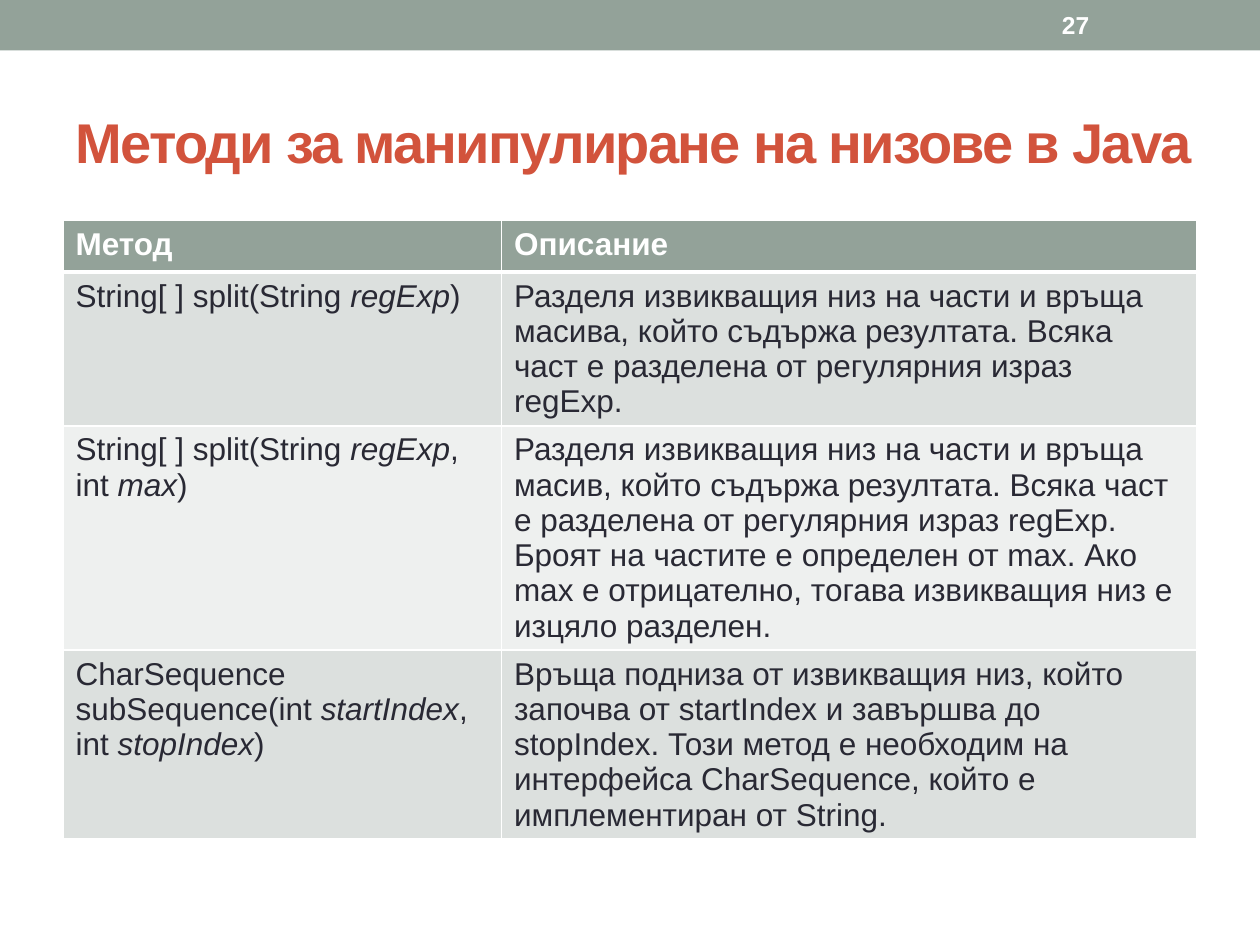
from dataclasses import dataclass

from lxml.etree import SubElement
from pptx import Presentation
from pptx.dml.color import RGBColor
from pptx.enum.shapes import MSO_SHAPE as SHAPE
from pptx.enum.text import MSO_ANCHOR as ANCHOR
from pptx.oxml.ns import qn
from pptx.util import Inches, Pt

FONT = "Arial"
SAGE, RUST, INK, WHITE = "93A299", "D2533C", "292934", "FFFFFF"
BANDS = ("DCE0DE", "EEF0EF")


@dataclass
class Method:
    """One table row; asterisks in the signature enclose italic parts."""
    signature: str
    description: str


@dataclass
class Label:
    """A bold one-line text box."""
    text: str
    box: tuple[float, float, float, float]
    size: int
    color: str
    spacing: int = 0


METHODS = [
    Method("String[ ] split(String *regExp*)",
           "Разделя извикващия низ на части и връща масива, който съдържа "
           "резултата. Всяка част е разделена от регулярния израз regExp."),
    Method("String[ ] split(String *regExp*, int *max*)",
           "Разделя извикващия низ на части и връща масив, който съдържа "
           "резултата. Всяка част е разделена от регулярния израз regExp. "
           "Броят на частите е определен от max. Ако max е отрицателно, "
           "тогава извикващия низ е изцяло разделен."),
    Method("CharSequence\nsubSequence(int *startIndex*,\nint *stopIndex*)",
           "Връща подниза от извикващия низ, който започва от startIndex и "
           "завършва до stopIndex. Този метод е необходим на интерфейса "
           "CharSequence, който е имплементиран от String."),
]
LABELS = [
    Label("Методи за манипулиране на низове в Java",
          (0.5, 0.58, 9.3, 1.08), 32, RUST, -100),
    Label("27", (8.33, 0.02, 1.17, 0.36), 14, WHITE),
]


def rgb(color: str) -> RGBColor:
    """Turn a hex string into a colour."""
    return RGBColor.from_string(color)


def write(tf, text: str, size: int, color: str, bold: bool = False) -> None:
    """Write lines as paragraphs, with starred parts in italics."""
    for i, line in enumerate(text.split("\n")):
        p = tf.add_paragraph() if i else tf.paragraphs[0]
        for j, part in enumerate(line.split("*")):
            if not part:
                continue
            r = p.add_run()
            r.text = part
            style = {"name": FONT, "size": Pt(size), "bold": bold,
                     "italic": j % 2 == 1}
            for key, value in style.items():
                setattr(r.font, key, value)
            r.font.color.rgb = rgb(color)


def add_label(slide, label: Label) -> None:
    """Add a vertically centred text box."""
    tf = slide.shapes.add_textbox(*map(Inches, label.box)).text_frame
    tf.word_wrap = True
    tf.vertical_anchor = ANCHOR.MIDDLE
    write(tf, label.text, label.size, label.color, True)
    if label.spacing:
        r = tf.paragraphs[0].runs[0]
        r._r.get_or_add_rPr().set("spc", str(label.spacing))


def set_borders(cell, widths: dict[str, int]) -> None:
    """Draw white cell borders with the given widths in points."""
    tc_pr = cell._tc.get_or_add_tcPr()
    for side, width in widths.items():
        ln = SubElement(tc_pr, qn(f"a:ln{side}"), w=str(Pt(width)))
        fill = SubElement(ln, qn("a:solidFill"))
        SubElement(fill, qn("a:srgbClr"), val=WHITE)


def add_methods(slide) -> None:
    """Add the table of methods with its header and banded rows."""
    rows = [Method("Метод", "Описание"), *METHODS]
    row_height = 0.41
    table = slide.shapes.add_table(
        len(rows), 2, Inches(0.5), Inches(1.75), Inches(9),
        Inches(row_height * len(rows))).table
    for column, width in zip(table.columns, (3.48, 5.52)):
        column.width = Inches(width)
    for i, row in enumerate(rows):
        table.rows[i].height = Inches(row_height)
        header = i == 0
        fill = SAGE if header else BANDS[(i - 1) % 2]
        widths = {"L": 1, "R": 1, "T": 3 if i == 1 else 1,
                  "B": 3 if header else 1}
        for j, text in enumerate((row.signature, row.description)):
            cell = table.cell(i, j)
            set_borders(cell, widths)
            cell.fill.solid()
            cell.fill.fore_color.rgb = rgb(fill)
            write(cell.text_frame, text, 18, WHITE if header else INK, header)


def add_top_band(slide, width: int) -> None:
    """Add the coloured band along the top edge."""
    sp = slide.shapes.add_shape(SHAPE.RECTANGLE, 0, 0, width, Inches(0.4))
    sp.shadow.inherit = False
    sp.fill.solid()
    sp.fill.fore_color.rgb = rgb(SAGE)
    sp.line.fill.background()


def main() -> None:
    """Build and save the slide."""
    prs = Presentation()
    prs.slide_width, prs.slide_height = Inches(10), Inches(7.5)
    s = prs.slides.add_slide(prs.slide_layouts[6])
    add_top_band(s, prs.slide_width)
    add_methods(s)
    for label in LABELS:
        add_label(s, label)
    prs.save("out.pptx")


main()
